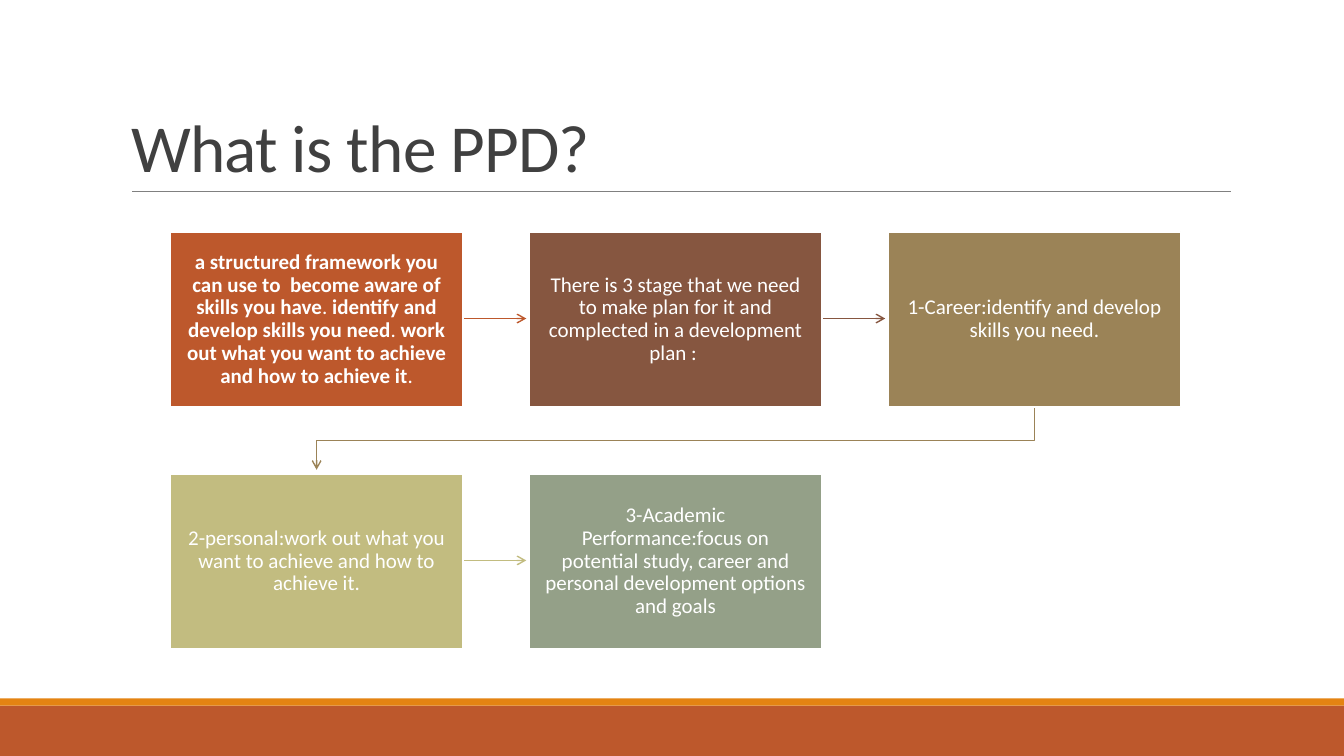
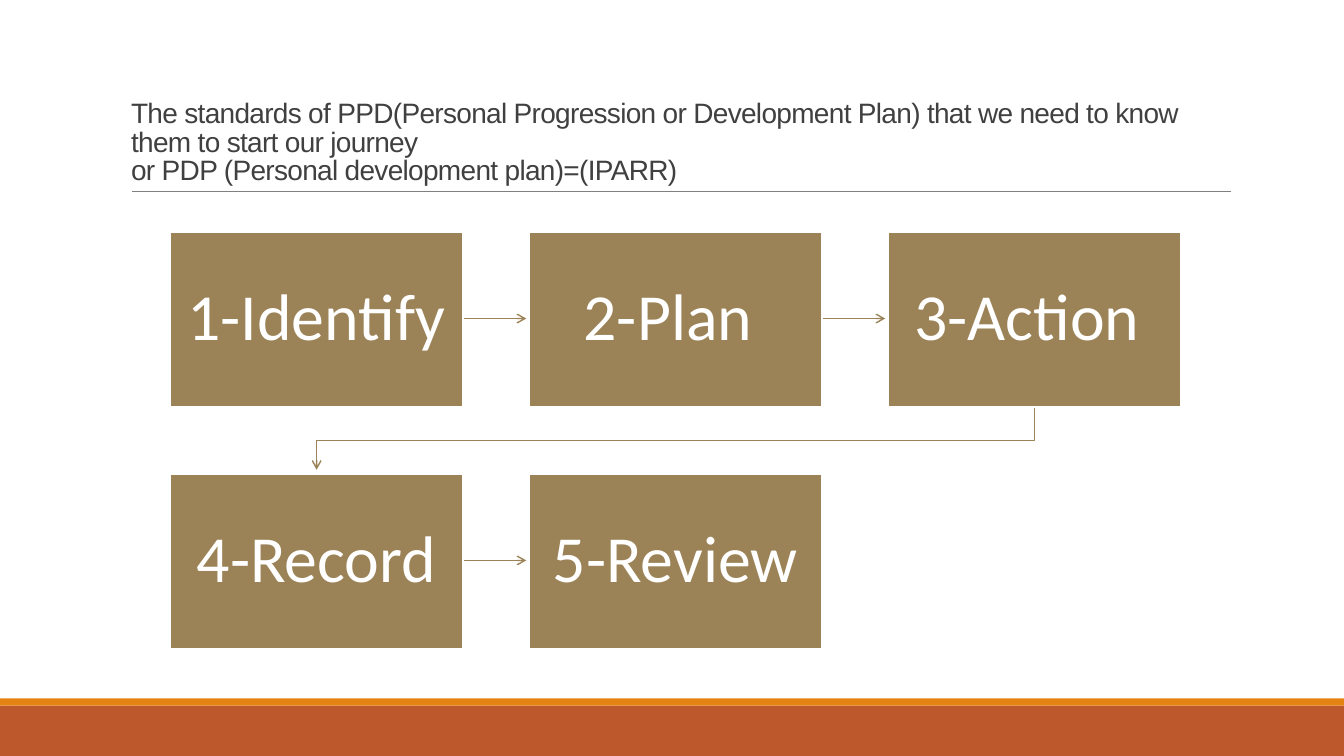
from copy import deepcopy

from lxml.etree import SubElement
from pptx import Presentation
from pptx.dml.color import RGBColor
from pptx.enum.shapes import MSO_CONNECTOR, MSO_SHAPE
from pptx.enum.text import MSO_ANCHOR, MSO_AUTO_SIZE, PP_ALIGN
from pptx.oxml.ns import qn
from pptx.util import Inches, Pt

WHITE = RGBColor(0xFF, 0xFF, 0xFF)
DARK_GREY = RGBColor(0x40, 0x40, 0x40)
MID_GREY = RGBColor(0x80, 0x80, 0x80)
ORANGE = RGBColor(0xE4, 0x83, 0x12)
RUST = RGBColor(0xBD, 0x58, 0x2C)
BROWN = RGBColor(0x86, 0x56, 0x40)
TAN = RGBColor(0x9B, 0x83, 0x57)
SAND = RGBColor(0xC2, 0xBC, 0x80)
SAGE = RGBColor(0x94, 0xA0, 0x88)

SLIDE_WIDTH, SLIDE_HEIGHT = 13.33, 7.5
BANDS = [(7, 0.5, RUST), (6.93, 0.07, ORANGE)]  # top, height, colour

# The flow of boxes, in inches
COLUMNS = 3
GRID_LEFT, GRID_TOP = 1.69, 2.3
BOX_WIDTH, BOX_HEIGHT = 2.9, 1.74
COLUMN_STEP, ROW_STEP = 3.56, 2.4
ARROW_LENGTH = 0.63

# Text between asterisks is bold
SLIDES = [
    {
        "title": "What is the PPD?",
        "title_font": "Calibri",
        "title_size": 48,
        "box_size": 15,
        "boxes": [
            ("*a structured framework you can use to  become aware of skills you have*. "
             "*identify and develop skills you need*. "
             "*work out what you want to achieve and how to achieve it*.", RUST),
            ("There is 3 stage that we need to make plan for it and complected "
             "in a development plan : ", BROWN),
            ("1-Career:identify and develop skills you need.", TAN),
            ("2-personal:work out what you want to achieve and how to achieve it.", SAND),
            ("3-Academic Performance:focus on potential study, career and personal "
             "development options and goals", SAGE),
        ],
    },
    {
        "title": "The standards of PPD(Personal Progression or Development Plan) that we "
                 "need to know them to start our journey \n"
                 "or PDP (Personal development plan)=(IPARR)",
        "title_font": "Arial",
        "title_size": 20,
        "box_size": 47,
        "boxes": [
            ("1-Identify", TAN),
            ("2-Plan ", TAN),
            ("3-Action ", TAN),
            ("4-Record", TAN),
            ("5-Review", TAN),
        ],
    },
]


def write_text(text_frame, text, *, font, size, color, align, anchor, line_spacing,
               margins=(0.1, 0.05), letter_spacing=None):
    """Fill the frame; asterisks enclose bold text and a newline is a line break."""
    text_frame.word_wrap = True
    text_frame.auto_size = MSO_AUTO_SIZE.NONE
    text_frame.vertical_anchor = anchor
    text_frame.margin_left = text_frame.margin_right = Inches(margins[0])
    text_frame.margin_top = text_frame.margin_bottom = Inches(margins[1])
    paragraph = text_frame.paragraphs[0]
    paragraph.alignment = align
    paragraph.line_spacing = line_spacing
    for part_number, part in enumerate(text.split("*")):
        for line_number, line in enumerate(part.split("\n")):
            if line_number:
                paragraph.add_line_break()
                paragraph._p[-1].append(deepcopy(run._r.rPr))
            if not line:
                continue
            run = paragraph.add_run()
            run.text = line
            run.font.name = font
            run.font.size = Pt(size)
            run.font.bold = part_number % 2 == 1
            run.font.color.rgb = color
            if letter_spacing is not None:
                run._r.rPr.set("spc", str(round(letter_spacing * 100)))


def style_line(shape, color, width, arrow=True):
    shape.line.color.rgb = color
    shape.line.width = Pt(width)
    if arrow:
        SubElement(shape.line._get_or_add_ln(), qn("a:tailEnd"), type="arrow")
    SubElement(shape._element.spPr, qn("a:effectLst"))


presentation = Presentation()
presentation.slide_width = Inches(SLIDE_WIDTH)
presentation.slide_height = Inches(SLIDE_HEIGHT)
title_only = presentation.slide_layouts.get_by_name("Title Only")

for content in SLIDES:
    slide = presentation.slides.add_slide(title_only)
    shapes = slide.shapes

    for top, height, color in BANDS:
        band = shapes.add_shape(MSO_SHAPE.RECTANGLE, 0, Inches(top),
                                Inches(SLIDE_WIDTH), Inches(height))
        band.shadow.inherit = False
        band.fill.solid()
        band.fill.fore_color.rgb = color
        band.line.fill.background()

    title_rule = shapes.add_connector(MSO_CONNECTOR.STRAIGHT, Inches(1.31), Inches(1.9),
                                      Inches(12.21), Inches(1.9))
    style_line(title_rule, MID_GREY, 0.5, arrow=False)

    title = shapes.title
    title.left, title.top = Inches(1.2), Inches(0.31)
    title.width, title.height = Inches(11), Inches(1.59)
    write_text(title.text_frame, content["title"], font=content["title_font"],
               size=content["title_size"], color=DARK_GREY, align=PP_ALIGN.LEFT,
               anchor=MSO_ANCHOR.BOTTOM, line_spacing=0.85, letter_spacing=-0.5)

    last = len(content["boxes"]) - 1
    for index, (text, color) in enumerate(content["boxes"]):
        row, column = divmod(index, COLUMNS)
        left = GRID_LEFT + column * COLUMN_STEP
        top = GRID_TOP + row * ROW_STEP
        right, bottom = left + BOX_WIDTH, top + BOX_HEIGHT

        if index < last and column < COLUMNS - 1:
            middle = Inches(top + BOX_HEIGHT / 2 - 0.01)
            arrow = shapes.add_connector(MSO_CONNECTOR.STRAIGHT, Inches(right), middle,
                                         Inches(right + ARROW_LENGTH), middle)
            style_line(arrow, color, 1)
        elif index < last:
            start_x = Inches(left + BOX_WIDTH / 2)
            end_x = Inches(GRID_LEFT + BOX_WIDTH / 2)
            turn_y = Inches(bottom + 0.33)
            builder = shapes.build_freeform(start_x, Inches(bottom))
            builder.add_line_segments(
                [(start_x, turn_y), (end_x, turn_y), (end_x, Inches(bottom + 0.62))],
                close=False)
            row_arrow = builder.convert_to_shape()
            row_arrow.fill.background()
            style_line(row_arrow, color, 1)

        box = shapes.add_shape(MSO_SHAPE.RECTANGLE, Inches(left), Inches(top),
                               Inches(BOX_WIDTH), Inches(BOX_HEIGHT))
        box.shadow.inherit = False
        box.fill.solid()
        box.fill.fore_color.rgb = color
        box.line.color.rgb = WHITE
        box.line.width = Pt(1.25)
        write_text(box.text_frame, text, font="Calibri", size=content["box_size"],
                   color=WHITE, align=PP_ALIGN.CENTER, anchor=MSO_ANCHOR.MIDDLE,
                   line_spacing=0.9, margins=(0.14, 0.15))

presentation.save("out.pptx")
